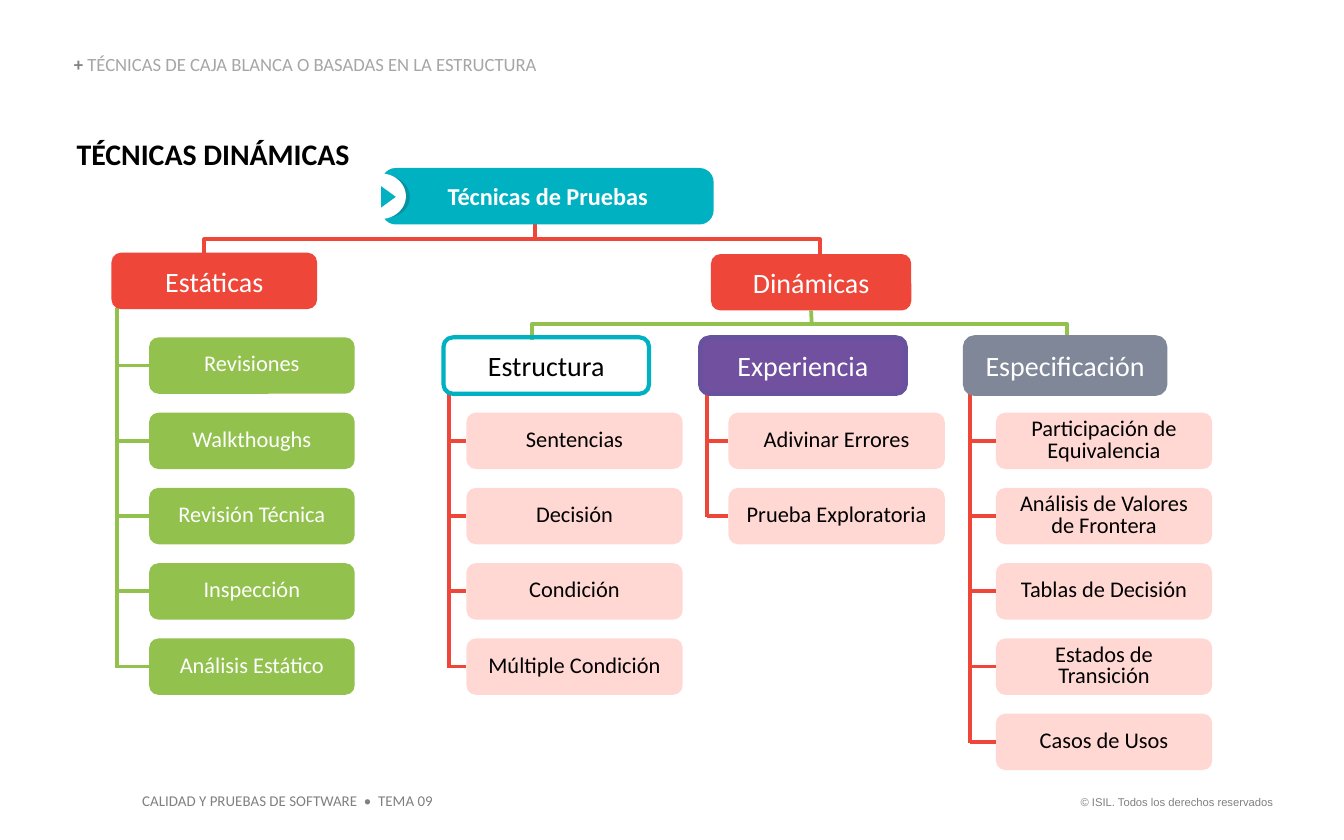
"""Build the slide that shows the tree of software testing techniques."""
import pptx
import pptx.util
import pptx.dml.color
import pptx.enum.shapes
import pptx.enum.text
import pptx.oxml

Inches, Pt = pptx.util.Inches, pptx.util.Pt
SHAPE = pptx.enum.shapes.MSO_SHAPE
ALIGN = pptx.enum.text.PP_ALIGN
ANCHOR = pptx.enum.text.MSO_ANCHOR

COLORS = {
    "red": "EE4639", "green": "92C14E", "pink": "FFD8D4", "purple": "7150A0",
    "violet": "67529F", "slate": "808799", "teal": "00B1C2", "dark_teal": "0792A2",
    "white": "FFFFFF", "black": "000000", "gray": "808080", "silver": "A6A6A6",
}
HEAD = {"size": 15, "color": "white"}
ITEM = {"size": 12}
ROOT = {"size": 13, "bold": True, "color": "white"}

LABELS = [
    {"box": (7.88, 5.87, 1.69, 0.2), "align": ALIGN.RIGHT, "wrap": False, "inset": (0.1, 0.05),
     "runs": [("© ISIL. Todos los derechos reservados", {"size": 6, "name": "Arial", "color": "gray"})]},
    {"box": (0.96, 5.84, 2.37, 0.24), "wrap": False, "inset": (0.1, 0.05),
     "runs": [("CALIDAD Y PRUEBAS DE SOFTWARE  •  TEMA 09", {"size": 8, "color": "gray"})]},
    {"box": (0.57, 1.01, 2.95, 0.27),
     "runs": [("TÉCNICAS DINÁMICAS", {"size": 16, "bold": True, "color": "black"})]},
    {"box": (0.55, 0.41, 3.61, 0.15), "anchor": ANCHOR.BOTTOM, "spacing": 0.9,
     "runs": [("+ ", {"size": 10, "bold": True, "color": "gray"}),
              ("TÉCNICAS DE CAJA BLANCA O BASADAS EN LA ESTRUCTURA", {"size": 10, "color": "silver"})]},
]
GROUPS = [
    {"head": "Estáticas", "box": (0.83, 1.88, 1.53), "fill": "red", "spine": 0.87, "branch": "green",
     "left": 1.11, "width": 1.53, "first": 0, "item_fill": "green", "item_text": "white",
     "items": ["Revisiones", "Walkthoughs", "Revisión Técnica", "Inspección", "Análisis Estático"]},
    {"head": "Estructura", "box": (3.3, 2.51, 1.53), "line": "teal", "text": "black", "spine": 3.34,
     "left": 3.47, "items": ["Sentencias", "Decisión", "Condición", "Múltiple Condición"]},
    {"head": "Experiencia", "box": (5.21, 2.51, 1.53), "fill": "purple", "line": "violet",
     "spine": 5.26, "left": 5.42, "items": ["Adivinar Errores", "Prueba Exploratoria"]},
    {"head": "Especificación", "box": (7.18, 2.51, 1.49), "fill": "slate", "line": "slate",
     "spine": 7.22, "left": 7.41,
     "items": ["Participación de Equivalencia", "Análisis de Valores de Frontera",
               "Tablas de Decisión", "Estados de Transición", "Casos de Usos"]},
]
BUSES = [("red", 1.52, 6.1, 1.78, 1.9), ("green", 3.96, 7.94, 2.41, 2.53)]
BOX_H, TOP, PITCH = 0.42, 2.51, 0.56


def rgb(name):
    return pptx.dml.color.RGBColor.from_string(COLORS[name])


def write(tf, runs, align=ALIGN.LEFT, spacing=None):
    p = tf.paragraphs[0]
    p.alignment = align
    if spacing:
        p.line_spacing = spacing
    for text, style in runs:
        r = p.add_run()
        r.text = text
        values = {"name": "Calibri", "bold": False, **style}
        r.font.color.rgb = rgb(values.pop("color"))
        values["size"] = Pt(values["size"])
        for key, value in values.items():
            setattr(r.font, key, value)


def add_label(slide, box, runs, wrap=True, inset=(0, 0), anchor=ANCHOR.TOP, **layout):
    tf = slide.shapes.add_textbox(*map(Inches, box)).text_frame
    x, y = map(Inches, inset)
    values = {"word_wrap": wrap, "vertical_anchor": anchor, "margin_left": x,
              "margin_right": x, "margin_top": y, "margin_bottom": y}
    for key, value in values.items():
        setattr(tf, key, value)
    write(tf, runs, **layout)


def paint(sp, fill=None, line=None, width=2.25):
    sp.shadow.inherit = False
    if fill:
        sp.fill.solid()
        sp.fill.fore_color.rgb = rgb(fill)
    else:
        sp.fill.background()
    if line:
        sp.line.color.rgb = rgb(line)
        sp.line.width = Pt(width)
    else:
        sp.line.fill.background()


def add_shape(slide, kind, box, fill=None, line=None):
    sp = slide.shapes.add_shape(kind, *map(Inches, box))
    paint(sp, fill, line)
    return sp


def add_box(slide, box, text, style, fill=None, line=None, spacing=None, radius=0.167):
    sp = add_shape(slide, SHAPE.ROUNDED_RECTANGLE, box, fill, line)
    sp.adjustments[0] = radius
    sp.text_frame.word_wrap = True
    sp.text_frame.vertical_anchor = ANCHOR.MIDDLE
    write(sp.text_frame, [(text, style)], ALIGN.CENTER, spacing)
    return sp


def add_line(slide, color, x1, y1, x2, y2):
    line = slide.shapes.add_connector(
        pptx.enum.shapes.MSO_CONNECTOR.STRAIGHT, *map(Inches, (x1, y1, x2, y2)))
    line.line.color.rgb = rgb(color)
    line.line.width = Pt(2)
    line._element.spPr.append(pptx.oxml.parse_xml(
        '<a:effectLst xmlns:a="http://schemas.openxmlformats.org/drawingml/2006/main"/>'))
    return line


def add_bus(slide, color, left, right, top, bottom):
    builder = slide.shapes.build_freeform(Inches(left), Inches(bottom))
    corners = [(left, top), (right, top), (right, bottom)]
    builder.add_line_segments([(Inches(x), Inches(y)) for x, y in corners], close=False)
    paint(builder.convert_to_shape(), line=color, width=2)


def add_group(slide, group):
    left, top, width = group["box"]
    x, color = group["spine"], group.get("branch", "red")
    first = group.get("first", 1)
    rows = [TOP + PITCH * (first + i) for i in range(len(group["items"]))]
    add_line(slide, color, x, top + BOX_H - 0.01, x, rows[-1] + BOX_H / 2 + 0.01)
    for y, text in zip(rows, group["items"]):
        style = {**ITEM, "color": group.get("item_text", "black")}
        box = (group["left"], y, group.get("width", 1.61), BOX_H)
        sp = add_box(slide, box, text, style, group.get("item_fill", "pink"), spacing=0.8)
        middle = y + BOX_H / 2
        add_line(slide, color, x, middle, group["left"], middle).end_connect(sp, 1)
    add_box(slide, (left, top, width, BOX_H), group["head"],
            {**HEAD, "color": group.get("text", "white")}, group.get("fill"), group.get("line"))


def main():
    prs = pptx.Presentation()
    prs.slide_width, prs.slide_height = Inches(10), Inches(6.25)
    slide = prs.slides.add_slide(prs.slide_layouts[6])
    for label in LABELS:
        add_label(slide, **label)

    add_line(slide, "red", 3.98, 1.6, 3.98, 1.78)
    for bus in BUSES:
        add_bus(slide, *bus)
    dynamic = add_box(slide, (5.29, 1.89, 1.49, BOX_H), "Dinámicas", HEAD, "red")
    add_line(slide, "green", 6.04, 2.31, 6.04, 2.41).begin_connect(dynamic, 2)
    for group in GROUPS:
        add_group(slide, group)

    add_box(slide, (2.84, 1.25, 2.47, BOX_H), "Técnicas de Pruebas", ROOT, "teal", radius=0.25)
    add_shape(slide, SHAPE.OVAL, (2.7, 1.31, 0.35, 0.31), "dark_teal")
    add_shape(slide, SHAPE.OVAL, (2.64, 1.29, 0.38, 0.34), "white")
    add_shape(slide, SHAPE.ISOSCELES_TRIANGLE, (2.81, 1.41, 0.16, 0.11), "teal").rotation = 90
    prs.save("out.pptx")


if __name__ == "__main__":
    main()
